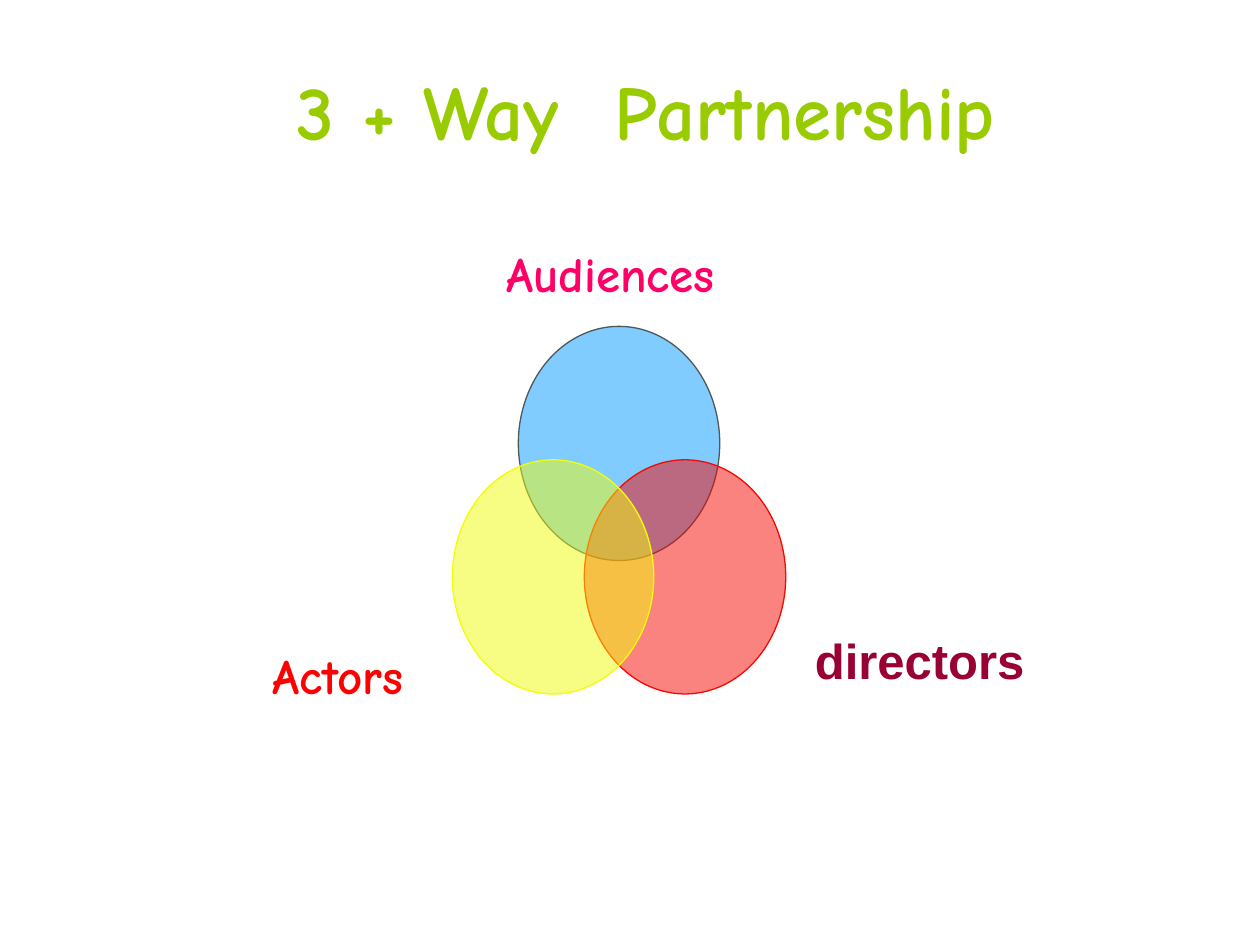
from collections import namedtuple
from dataclasses import dataclass

from lxml.etree import SubElement
from pptx import Presentation
from pptx.dml.color import RGBColor as Rgb
from pptx.enum.shapes import MSO_SHAPE as Shape
from pptx.enum.text import MSO_ANCHOR as Anchor, PP_ALIGN as Align
from pptx.oxml.ns import qn
from pptx.util import Cm, Pt

Box = namedtuple("Box", "left top width height")
Partner = namedtuple("Partner", "name font text_color label_center fill line circle_step")


@dataclass(frozen=True)
class Theme:
    """Fonts, type sizes and colours of the slide."""
    script_font: str = "Comic Neue"
    plain_font: str = "Arial"
    title_size: float = 44
    label_size: float = 28
    line_width: float = 0.75
    opacity: int = 50
    title: str = "99CC00"
    audiences: str = "FF0066"
    actors: str = "FF0000"
    directors: str = "990033"
    blue: str = "0399FF"
    slate: str = "4B595B"
    red: str = "F60802"
    yellow: str = "F1FD09"


THEME = Theme()
CIRCLE_WIDTH, CIRCLE_HEIGHT = 4.06, 4.72
STEP_X, STEP_Y = 1.33, 2.69
CIRCLES_LEFT, CIRCLES_TOP = 4.72, 1.65
LABEL_WIDTH, LABEL_HEIGHT = 4.8, 1.16

PARTNERS = [
    Partner("Audiences", THEME.script_font, THEME.audiences, (7.91, 0.58),
            THEME.blue, THEME.slate, (1, 0)),
    Partner("directors", THEME.plain_font, THEME.directors, (14.14, 8.38),
            THEME.red, THEME.red, (2, 1)),
    Partner("Actors", THEME.script_font, THEME.actors, (2.41, 8.68),
            THEME.yellow, THEME.yellow, (0, 1)),
]


def write_text(frame, text, font_name, size, color):
    """Write one bold centred line in the middle of a frame."""
    frame.text = text
    frame.vertical_anchor = Anchor.MIDDLE
    line = frame.paragraphs[0]
    line.alignment = Align.CENTER
    font = line.runs[0].font
    font.name, font.size, font.bold = font_name, Pt(size), True
    font.color.rgb = Rgb.from_string(color)


def add_title(slide, box):
    """Place the title in its box."""
    title = slide.shapes.title
    title.left, title.top, title.width, title.height = map(Cm, box)
    write_text(title.text_frame, "3 + Way  Partnership",
               THEME.script_font, THEME.title_size, THEME.title)


def add_circle(slide, box, partner):
    """Draw the translucent circle of one partner."""
    column, row = partner.circle_step
    circle = slide.shapes.add_shape(
        Shape.OVAL,
        Cm(box.left + CIRCLES_LEFT + column * STEP_X),
        Cm(box.top + CIRCLES_TOP + row * STEP_Y),
        Cm(CIRCLE_WIDTH), Cm(CIRCLE_HEIGHT))
    circle.shadow.inherit = False
    circle.fill.solid()
    circle.fill.fore_color.rgb = Rgb.from_string(partner.fill)
    fill_color = circle.fill._xPr.find(qn("a:solidFill"))[0]
    SubElement(fill_color, qn("a:alpha")).set("val", str(THEME.opacity * 1000))
    circle.line.color.rgb = Rgb.from_string(partner.line)
    circle.line.width = Pt(THEME.line_width)


def add_label(slide, box, partner):
    """Write the name of one partner around its label centre."""
    center_x, center_y = partner.label_center
    label = slide.shapes.add_textbox(
        Cm(box.left + center_x - LABEL_WIDTH / 2),
        Cm(box.top + center_y - LABEL_HEIGHT / 2),
        Cm(LABEL_WIDTH), Cm(LABEL_HEIGHT))
    frame = label.text_frame
    frame.word_wrap = True
    frame.margin_left = frame.margin_right = 0
    write_text(frame, partner.name, partner.font, THEME.label_size, partner.text_color)


def add_partnership(slide, box):
    """Build the three overlapping circles and their labels."""
    for partner in PARTNERS:
        add_circle(slide, box, partner)
        add_label(slide, box, partner)


def main():
    """Build and save the slide."""
    deck = Presentation()
    deck.slide_width, deck.slide_height = Cm(25.4), Cm(19.05)
    slide = deck.slides.add_slide(deck.slide_layouts.get_by_name("Title Only"))
    add_title(slide, Box(3.18, 0.84, 19.69, 2.74))
    add_partnership(slide, Box(4.4, 4.93, 16.54, 9.26))
    deck.save("out.pptx")


if __name__ == "__main__":
    main()
